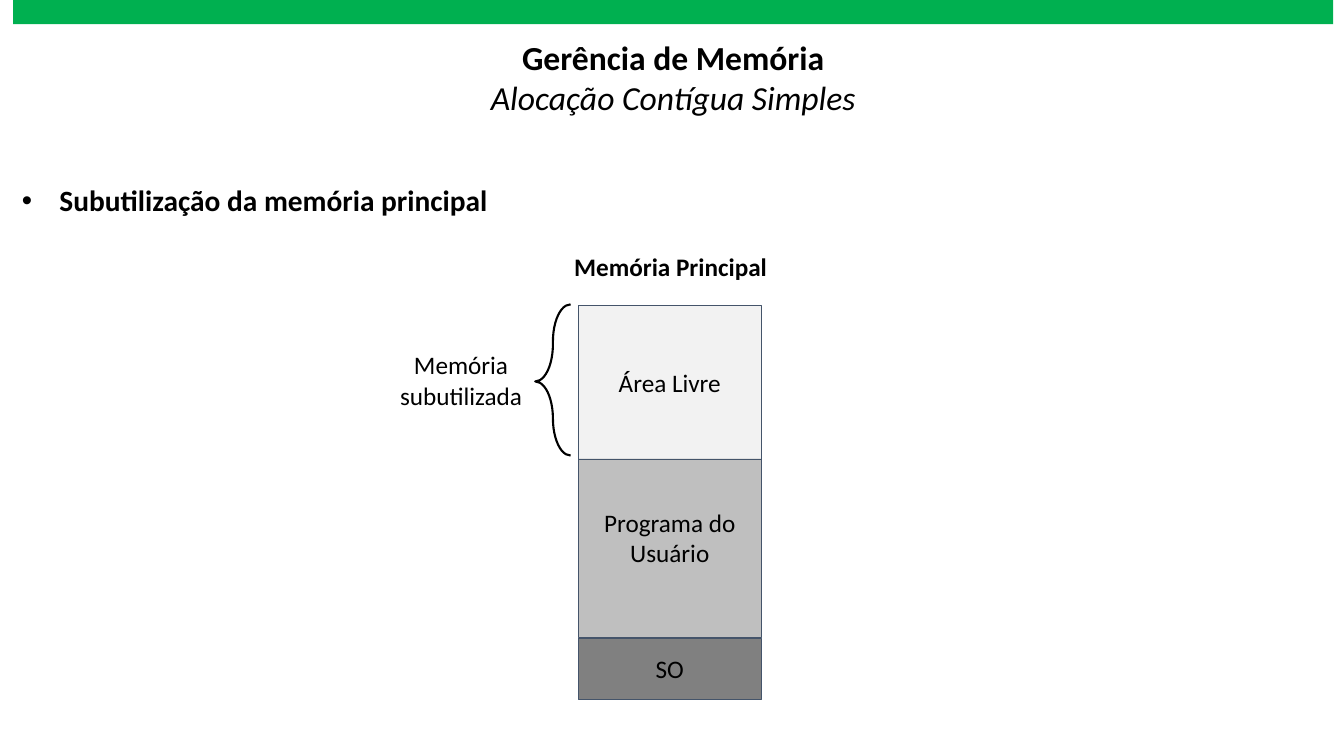
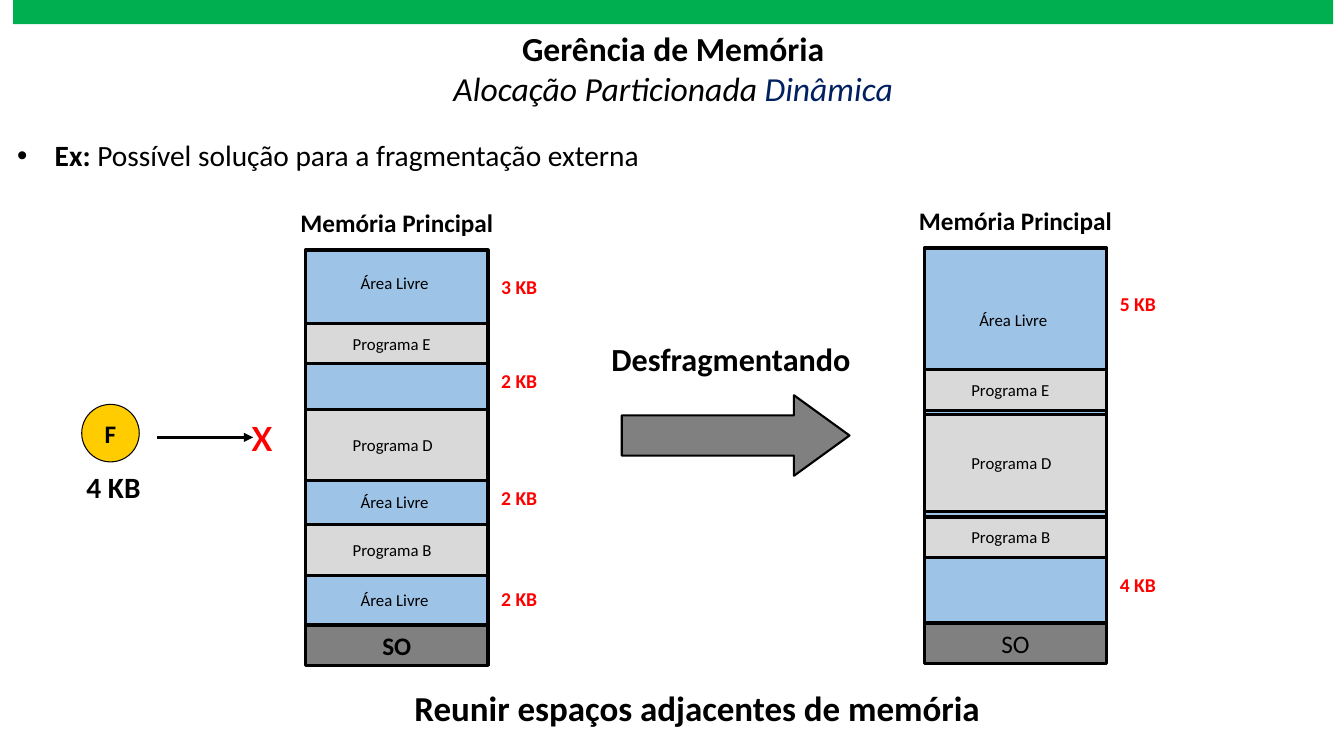
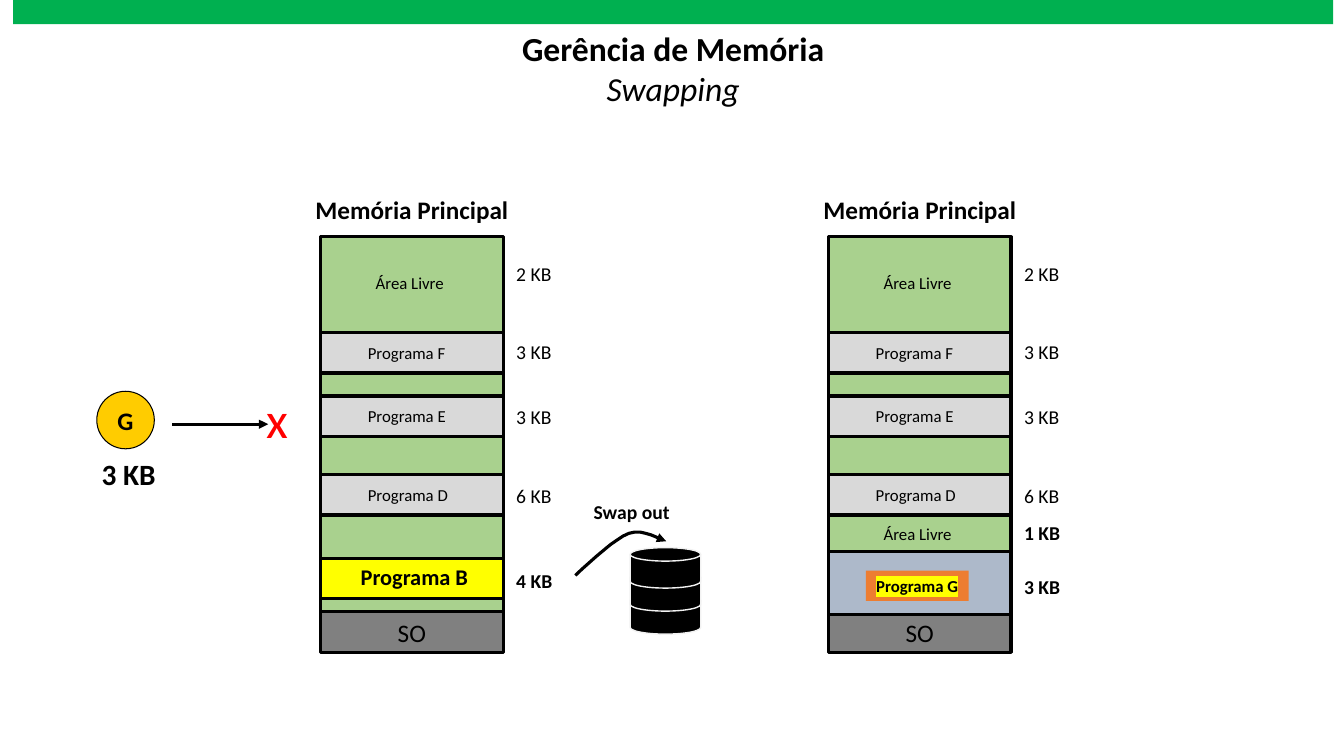
from lxml.etree import SubElement
from pptx import Presentation
from pptx.dml.color import RGBColor
from pptx.enum.shapes import MSO_CONNECTOR as Connector, MSO_SHAPE as Shape
from pptx.enum.text import MSO_ANCHOR as Anchor, MSO_AUTO_SIZE as AutoSize, PP_ALIGN as Align
from pptx.oxml.ns import qn
from pptx.util import Cm, Pt

COLORS = {
    "black": "000000", "band": "00B050", "navy": "002060", "red": "FF0000",
    "pale": "F2F2F2", "silver": "BFBFBF", "gray": "808080", "slate": "44546A",
    "program": "D9D9D9", "blue": "9DC3E6", "green": "A9D18E", "steel": "ADB9CA",
    "yellow": "FFFF00", "gold": "FFCC00", "orange": "ED7D31",
}

# Text formats: attributes of the font, plus the colour
HEADING = {"size": Pt(24), "bold": True}
SUBTITLE = {"size": Pt(24), "italic": True}
BULLET = {"size": Pt(21)}
BULLET_BOLD = BULLET | {"bold": True}
BODY = {"size": Pt(18)}
BODY_BOLD = BODY | {"bold": True}
LABEL = {"size": Pt(12)}
SIZE = {"size": Pt(14)}
SIZE_BOLD = SIZE | {"bold": True}
SIZE_RED = SIZE_BOLD | {"color": "red"}

# Memory column measures, in cm
COLUMN_WIDTH, COLUMN_HEIGHT, ROW_HEIGHT = 4.6, 9.5, 1.02
LABEL_WIDTH, LABEL_HEIGHT, SIZE_HEIGHT = 2.8, 0.76, 0.86


def color(name):
    return RGBColor.from_string(COLORS[name])


# Text
def fill_para(para, spans, align=Align.LEFT):
    para.alignment = align
    for text, style in spans:
        span = para.add_run()
        span.text = text
        look = {"name": "Calibri"} | style
        span.font.color.rgb = color(look.pop("color", "black"))
        for attribute, value in look.items():
            setattr(span.font, attribute, value)


def add_text(page, area, *paras, align=Align.LEFT, wrap=False):
    """Each paragraph is a list of (text, style) pairs."""
    box = page.shapes.add_textbox(*map(Cm, area))
    frame = box.text_frame
    frame.word_wrap = wrap
    frame.auto_size = AutoSize.SHAPE_TO_FIT_TEXT
    for number, spans in enumerate(paras):
        para = frame.add_paragraph() if number else frame.paragraphs[0]
        fill_para(para, spans, align)
    return box


def add_bullet(page, left, top, spans):
    box = add_text(page, (left, top, 33.3, 1.07), [], wrap=True)
    para = box.text_frame.paragraphs[0]
    para.line_spacing = 0.9
    properties = para._p.get_or_add_pPr()
    properties.set("marL", str(Cm(0.95)))
    properties.set("indent", str(-Cm(0.95)))
    SubElement(properties, qn("a:buFont")).set("typeface", "Arial")
    SubElement(properties, qn("a:buChar")).set("char", "•")
    fill_para(para, spans)


# Shapes and lines
def set_line(shape, line, weight):
    shape.line.color.rgb = color(line)
    shape.line.width = Pt(weight)


def add_shape(page, kind, area, fill=None, line=None, weight=2.25, text="", style=BODY):
    shape = page.shapes.add_shape(kind, *map(Cm, area))
    shape.shadow.inherit = False
    if fill:
        shape.fill.solid()
        shape.fill.fore_color.rgb = color(fill)
    else:
        shape.fill.background()
    if line:
        set_line(shape, line, weight)
    else:
        shape.line.fill.background()
    if text:
        frame = shape.text_frame
        frame.word_wrap = True
        frame.vertical_anchor = Anchor.MIDDLE
        fill_para(frame.paragraphs[0], [(text, style)], Align.CENTER)
    return shape


def add_arrowhead(shape):
    set_line(shape, "black", 2.25)
    outline = shape.element.spPr.find(qn("a:ln"))
    SubElement(outline, qn("a:tailEnd")).set("type", "triangle")


def add_arrow(page, left, top, length):
    arrow = page.shapes.add_connector(
        Connector.STRAIGHT, Cm(left), Cm(top), Cm(left + length), Cm(top))
    add_arrowhead(arrow)
    SubElement(arrow.element.spPr, qn("a:effectLst"))


def bezier(points, steps=8):
    """Points of a cubic curve, without its first one."""
    for step in range(1, steps + 1):
        t = step / steps
        weights = ((1 - t) ** 3, 3 * t * (1 - t) ** 2, 3 * t * t * (1 - t), t ** 3)
        yield tuple(sum(w * point[axis] for w, point in zip(weights, points))
                    for axis in (0, 1))


def add_curved_arrow(page, points):
    """Points in hundredths of a centimetre, three for each curve after the first."""
    builder = page.shapes.build_freeform(*points[0], scale=Cm(0.01))
    for first in range(0, len(points) - 1, 3):
        builder.add_line_segments(list(bezier(points[first:first + 4])), close=False)
    curve = builder.convert_to_shape()
    curve.shadow.inherit = False
    curve.fill.background()
    add_arrowhead(curve)


# Parts of the diagrams
def add_page(deck, title_top, *subtitle):
    page = deck.slides.add_slide(deck.slide_layouts[6])
    add_text(page, (7.26, title_top, 19.41, 2.31),
             [("Gerência de Memória", HEADING)], subtitle,
             align=Align.CENTER, wrap=True)
    add_shape(page, Shape.RECTANGLE, (0.33, 0, 33.27, 0.61), "band")
    return page


def add_memory_title(page, left, top):
    add_text(page, (left, top, 5.49, 1.02), [("Memória Principal", BODY_BOLD)])


def add_column(page, left, top, free, programs, free_labels, sizes, system=BODY):
    """Programs are (letter, top, height); sizes are (KB, top, style)."""
    add_memory_title(page, left - 0.38, top - 1.19)
    add_shape(page, Shape.RECTANGLE, (left, top, COLUMN_WIDTH, COLUMN_HEIGHT), free, "black")
    add_shape(page, Shape.RECTANGLE, (left, top + 9.45, COLUMN_WIDTH, ROW_HEIGHT),
              "gray", "black", text="SO", style=system)
    for letter, row, height in programs:
        add_shape(page, Shape.RECTANGLE, (left, row, COLUMN_WIDTH, height), "program", "black")
        middle = row + (height - LABEL_HEIGHT) / 2
        add_text(page, (left + 0.94, middle, LABEL_WIDTH, LABEL_HEIGHT),
                 [(f"Programa {letter}", LABEL)])
    for row in free_labels:
        add_text(page, (left + 1.14, row, 2.24, LABEL_HEIGHT), [("Área Livre", LABEL)])
    for amount, row, style in sizes:
        add_text(page, (left + 4.68, row, 1.42, SIZE_HEIGHT), [(f"{amount} KB", style)])


def add_waiting_process(page, left, top, letter, amount):
    circle = add_shape(page, Shape.OVAL, (left, top, 1.45, 1.45), "gold", "black", 0.75,
                       letter, BODY_BOLD)
    for side in ("left", "right", "top", "bottom"):
        setattr(circle.text_frame, f"margin_{side}", 0)
    add_text(page, (left - 0.13, top + 1.5, 1.88, 1.14), [(f"{amount} KB", BULLET_BOLD)])
    add_arrow(page, left + 1.9, top + 0.83, 2.42)
    add_text(page, (left + 4.02, top - 0.2, 1.07, 1.81),
             [("x", {"size": Pt(36), "color": "red"})])


# Slides
def simple_allocation(deck):
    page = add_page(deck, 0.81, ("Alocação Contígua Simples", SUBTITLE))
    add_bullet(page, 0.3, 4.57, [("Subutilização da memória principal", BULLET_BOLD)])
    add_memory_title(page, 14.22, 6.2)
    for text, top, height, fill in (("Programa do Usuário", 11.02, 5.03, "silver"),
                                    ("SO", 16.08, 1.55, "gray"),
                                    ("Área Livre", 7.7, 3.86, "pale")):
        add_shape(page, Shape.RECTANGLE, (14.58, top, COLUMN_WIDTH, height),
                  fill, "slate", 0.25, text)
    brace = add_shape(page, Shape.LEFT_BRACE, (13.49, 7.67, 0.89, 3.81),
                      line="black", weight=1.5)
    brace.adjustments[0], brace.adjustments[1] = 1.08, 0.51
    add_text(page, (9.32, 8.69, 4.6, 1.8), [("Memória subutilizada", BODY)],
             align=Align.CENTER, wrap=True)


def defragmentation(deck):
    page = add_page(deck, 0.58, ("Alocação Particionada ", SUBTITLE),
                    ("Dinâmica", SUBTITLE | {"color": "navy"}))
    add_bullet(page, 0.18, 3.43, [
        ("Ex:", BULLET_BOLD), (" Possível solução para a fragmentação externa", BULLET)])
    closing = add_text(page, (4.98, 17.17, 23.88, 1.32),
                       [("Reunir espaços adjacentes de memória",
                         {"size": Pt(25), "bold": True})],
                       align=Align.CENTER, wrap=True)
    closing.text_frame.margin_left = Cm(1.55)

    # Before
    add_column(page, 7.7, 6.3, "blue",
               [("B", 13.21, 1.3), ("E", 8.15, ROW_HEIGHT), ("D", 10.31, 1.8)],
               [6.76, 12.27, 14.73],
               [(3, 6.81, SIZE_RED), (2, 9.17, SIZE_RED),
                (2, 12.12, SIZE_RED), (2, 14.66, SIZE_RED)], BODY_BOLD)
    add_waiting_process(page, 2.06, 10.19, "F", 4)

    # After
    add_column(page, 23.29, 6.25, "blue",
               [("B", 13.03, ROW_HEIGHT), ("E", 9.32, ROW_HEIGHT), ("D", 10.44, 2.46)],
               [7.67], [(5, 7.24, SIZE_RED), (4, 14.3, SIZE_RED)])
    add_text(page, (15.16, 8.43, 6.6, 1.24),
             [("Desfragmentando", {"size": Pt(23), "bold": True})])
    arrow = add_shape(page, Shape.RIGHT_ARROW, (15.67, 9.96, 5.74, 2.03),
                      "gray", "black", 1.5)
    arrow.adjustments[1] = 0.69


def swapping(deck):
    page = add_page(deck, 0.58, ("Swapping", SUBTITLE))
    programs = [("E", 9.98, ROW_HEIGHT), ("D", 11.96, ROW_HEIGHT), ("F", 8.38, ROW_HEIGHT)]
    sizes = [(2, 6.48, SIZE), (3, 8.43, SIZE), (3, 10.08, SIZE), (6, 12.06, SIZE)]

    # Before: program B leaves
    add_column(page, 8.08, 5.97, "green", programs, [6.74],
               sizes + [(4, 14.22, SIZE_BOLD)])
    add_shape(page, Shape.RECTANGLE, (8.08, 14.07, COLUMN_WIDTH, ROW_HEIGHT),
              "yellow", "black")
    add_text(page, (8.84, 14.07, 3.25, 0.94),
             [("Programa B", {"size": Pt(16), "bold": True})])
    add_waiting_process(page, 2.44, 9.86, "G", 3)

    # After: program G enters
    add_column(page, 20.88, 5.97, "green", programs, [6.74, 13.08],
               sizes + [(1, 13, SIZE_BOLD), (3, 14.35, SIZE_BOLD)])
    add_shape(page, Shape.RECTANGLE, (20.88, 13.89, COLUMN_WIDTH, 1.6), "steel", "black")
    badge = add_shape(page, Shape.RECTANGLE, (21.82, 14.38, 2.59, LABEL_HEIGHT), "orange",
                      text="Programa G", style=LABEL | {"bold": True})
    badge.text_frame.word_wrap = False
    latin = next(badge.element.iter(qn("a:latin")))
    highlight = SubElement(latin.getparent(), qn("a:highlight"))
    SubElement(highlight, qn("a:srgbClr")).set("val", COLORS["yellow"])
    latin.addprevious(highlight)

    # Disk
    add_text(page, (14.71, 12.47, 2.44, SIZE_HEIGHT), [("Swap out", SIZE_BOLD)])
    add_curved_arrow(page, [(1450, 1450), (1499, 1405), (1547, 1359), (1585, 1344),
                            (1623, 1331), (1664, 1361), (1679, 1364)])
    for level in range(3):
        add_shape(page, Shape.FLOWCHART_MAGNETIC_DISK,
                  (15.88, 14.96 - 0.58 * level, 1.78, 1.02), "black", "pale", 1)


def main():
    deck = Presentation()
    deck.slide_width, deck.slide_height = Cm(33.87), Cm(19.05)
    for build in (simple_allocation, defragmentation, swapping):
        build(deck)
    deck.save("out.pptx")


if __name__ == "__main__":
    main()
